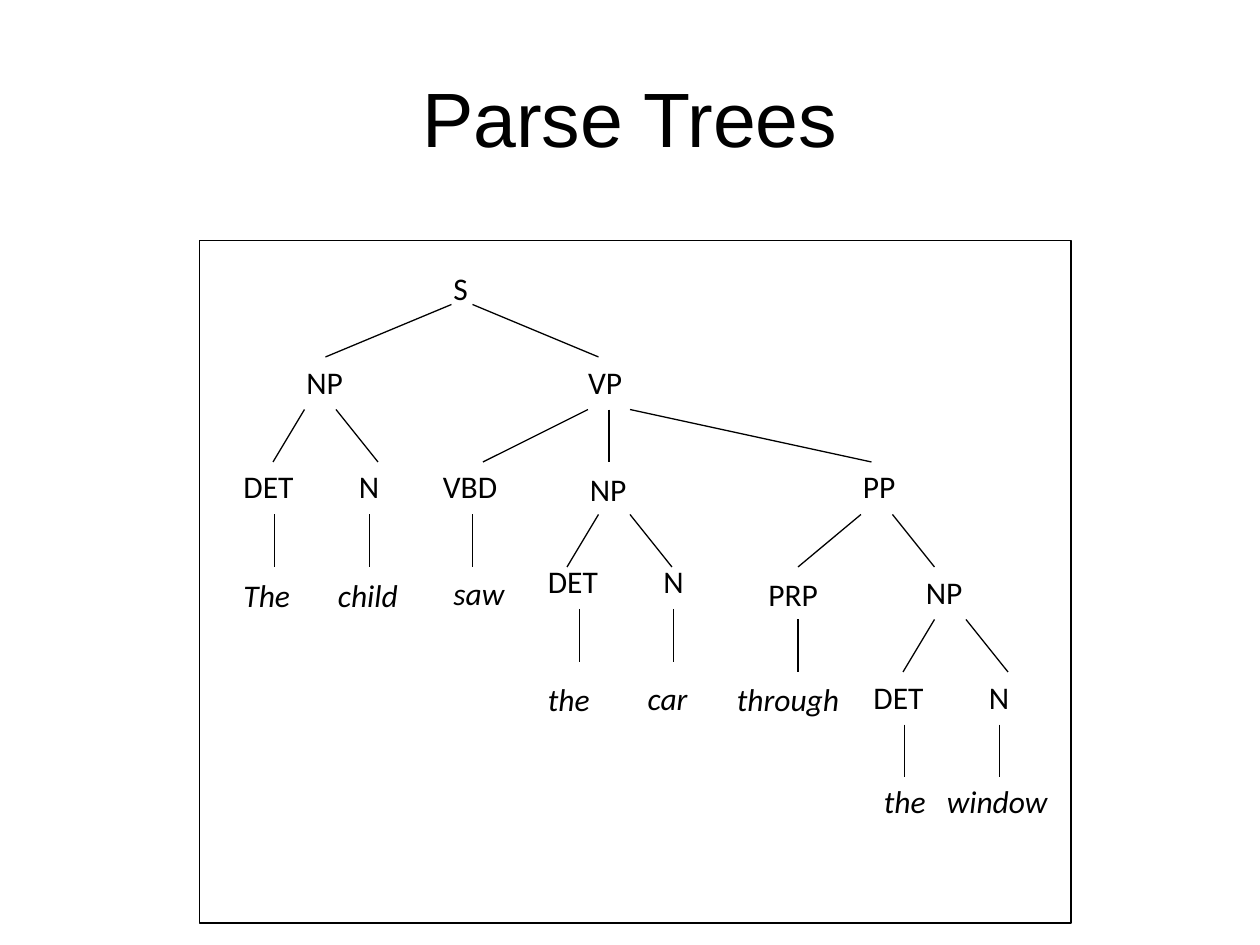
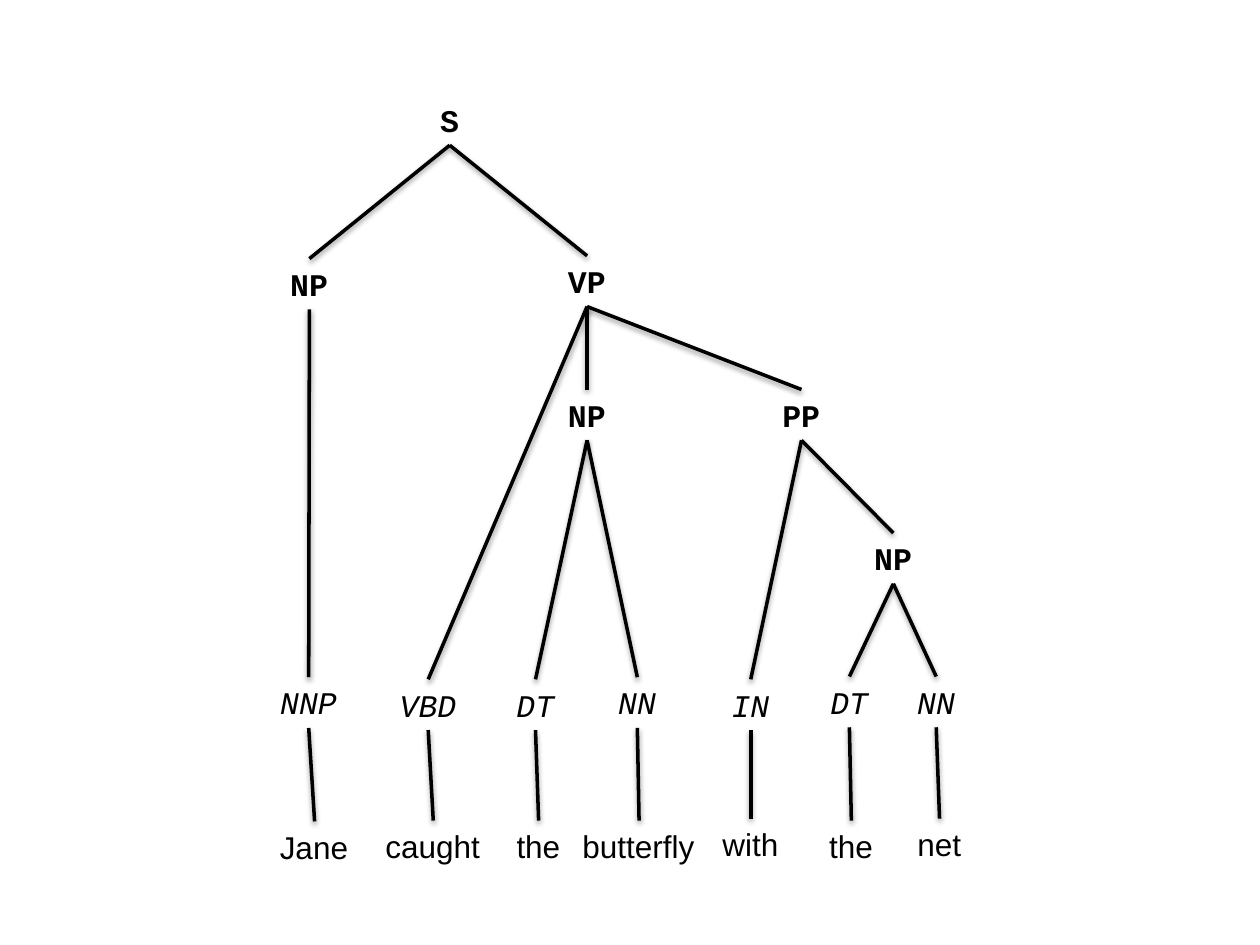
from lxml import etree
from pptx import Presentation
from pptx.dml.color import RGBColor
from pptx.enum.shapes import MSO_CONNECTOR, MSO_SHAPE
from pptx.enum.text import MSO_ANCHOR, MSO_AUTO_SIZE, PP_ALIGN
from pptx.oxml.ns import qn
from pptx.util import Pt

BLACK = "000000"
LABEL_H = 29

# Slide 1: (text, left, top, width)
TITLE = "Parse Trees"
FRAME = (114, 137.5, 498, 390)
CATEGORIES = [
    ("S", 252, 150, 24),
    ("NP", 168, 204, 42), ("VP", 329, 204, 42),
    ("DET", 132, 263.5, 48), ("N", 198, 263.5, 42), ("VBD", 246, 263.5, 54),
    ("NP", 330, 265, 42), ("PP", 486, 263.5, 42),
    ("DET", 306, 317.5, 48), ("N", 372, 317.5, 42),
    ("PRP", 432, 325, 48), ("NP", 522, 324, 42),
    ("DET", 492, 384, 48), ("N", 558, 384, 42),
]
WORDS = [
    ("The", 132, 325.5, 48), ("child", 186, 325.5, 54), ("saw", 252, 324.5, 54),
    ("the", 306, 385, 42), ("car", 363, 384.5, 57), ("through", 414, 385, 84),
    ("the", 498, 443.5, 48), ("window", 534, 443.5, 78),
]
# Top of each row of branches: (x at the parent, x at the child)
BRANCH_DROP = 30
BRANCHES = {
    174: [(258, 186), (270, 342)],
    234: [(174, 156), (192, 216), (336, 276), (348, 348), (360, 498)],
    294: [(157, 157), (211, 211), (270, 270), (342, 324), (360, 384),
          (492, 456), (510, 534)],
    348: [(331, 331), (385, 385)],
    354: [(456, 456), (534, 516), (552, 576)],
    414: [(517, 517), (571, 571)],
}

# Slide 2: key: (text, centre x, top, parent)
PHRASES = {
    "s": ("S", 257, 54, None),
    "subject": ("NP", 176.8, 147.8, "s"),
    "vp": ("VP", 335.5, 146.2, "s"),
    "object": ("NP", 335.5, 222.6, "vp"),
    "pp": ("PP", 458, 222.6, "vp"),
    "tool": ("NP", 510.5, 304.6, "pp"),
}
# (tag, centre x, top, parent, word, word centre x, word top, word width)
LEAVES = [
    ("NNP", 176.4, 387, "subject", "Jane", 179.8, 469.4, 54),
    ("VBD", 244.7, 388.2, "vp", "caught", 247.6, 468.9, 69),
    ("DT", 306, 388.2, "object", "the", 307.8, 468.9, 39.5),
    ("NN", 364.2, 387, "object", "butterfly", 365.2, 468.9, 79),
    ("IN", 429, 388.2, "pp", "with", 429, 467.8, 46.5),
    ("DT", 485.4, 386.6, "tool", "the", 486.5, 468.9, 39.5),
    ("NN", 535, 386.6, "tool", "net", 536.9, 467.8, 39.5),
]


def rgb(color):
    return RGBColor.from_string(color)


def add_text(s, text, left, top, width, height=LABEL_H, align=PP_ALIGN.LEFT,
             wrap=True, **font):
    sp = s.shapes.add_textbox(Pt(left), Pt(top), Pt(width), Pt(height))
    tf = sp.text_frame
    tf.word_wrap = wrap
    tf.auto_size = MSO_AUTO_SIZE.NONE if height > LABEL_H else MSO_AUTO_SIZE.SHAPE_TO_FIT_TEXT
    tf.vertical_anchor = MSO_ANCHOR.MIDDLE if height > LABEL_H else MSO_ANCHOR.TOP
    p = tf.paragraphs[0]
    p.alignment = align
    r = p.add_run()
    r.text = text
    for name, value in ({"size": Pt(18)} | font).items():
        setattr(r.font, name, value)
    r.font.color.rgb = rgb(BLACK)
    return sp


def add_centred(s, text, centre, top, width, **font):
    """Add an unwrapped label whose box is centred on an x position."""
    return add_text(s, text, centre - width / 2, top, width, wrap=False, **font)


def add_mono(s, text, centre, top, **font):
    return add_centred(s, text, centre, top, 14.4 + 10.8 * len(text),
                       name="Courier New", **font)


def add_line(s, x1, y1, x2, y2, weight):
    """Add a straight line and return it with its empty effect list."""
    line = s.shapes.add_connector(MSO_CONNECTOR.STRAIGHT, Pt(x1), Pt(y1), Pt(x2), Pt(y2))
    line.line.color.rgb = rgb(BLACK)
    line.line.width = Pt(weight)
    effects = etree.SubElement(line._element.spPr, qn("a:effectLst"))
    return line, effects


def join(s, parent, child):
    """Link the bottom of parent to the top of child with a shadowed line."""
    line, effects = add_line(s, 0, 0, 0, 0, 2)
    line.begin_connect(parent, 2)
    line.end_connect(child, 0)
    shadow = etree.SubElement(effects, qn("a:outerShdw"), blurRad=str(Pt(3.1)),
                              dist=str(Pt(1.6)), dir="5400000", rotWithShape="0")
    color = etree.SubElement(shadow, qn("a:srgbClr"), val=BLACK)
    etree.SubElement(color, qn("a:alpha"), val="38000")


def build_child_tree(s):
    add_text(s, TITLE, 36, 21.6, 648, 90, PP_ALIGN.CENTER, size=Pt(44), name="Arial")
    frame = s.shapes.add_shape(MSO_SHAPE.RECTANGLE, *map(Pt, FRAME))
    frame.shadow.inherit = False
    frame.fill.background()
    frame.line.color.rgb = rgb(BLACK)
    frame.line.width = Pt(0.75)
    for labels, italic in ((CATEGORIES, False), (WORDS, True)):
        for label in labels:
            add_text(s, *label, name="Calibri", italic=italic)
    for top, row in BRANCHES.items():
        for x1, x2 in row:
            add_line(s, x1, top, x2, top + BRANCH_DROP, 0.75)


def build_butterfly_tree(s):
    nodes = {}
    for key, (text, centre, top, parent) in PHRASES.items():
        nodes[key] = add_mono(s, text, centre, top, bold=True)
        if parent:
            join(s, nodes[parent], nodes[key])
    for tag, centre, top, parent, word, *word_place in LEAVES:
        tag_box = add_mono(s, tag, centre, top, italic=True)
        word_box = add_centred(s, word, *word_place, name="Arial")
        join(s, nodes[parent], tag_box)
        join(s, tag_box, word_box)


def main():
    prs = Presentation()
    prs.slide_width, prs.slide_height = Pt(720), Pt(540)
    for build in (build_child_tree, build_butterfly_tree):
        build(prs.slides.add_slide(prs.slide_layouts[6]))
    prs.save("out.pptx")


if __name__ == "__main__":
    main()
